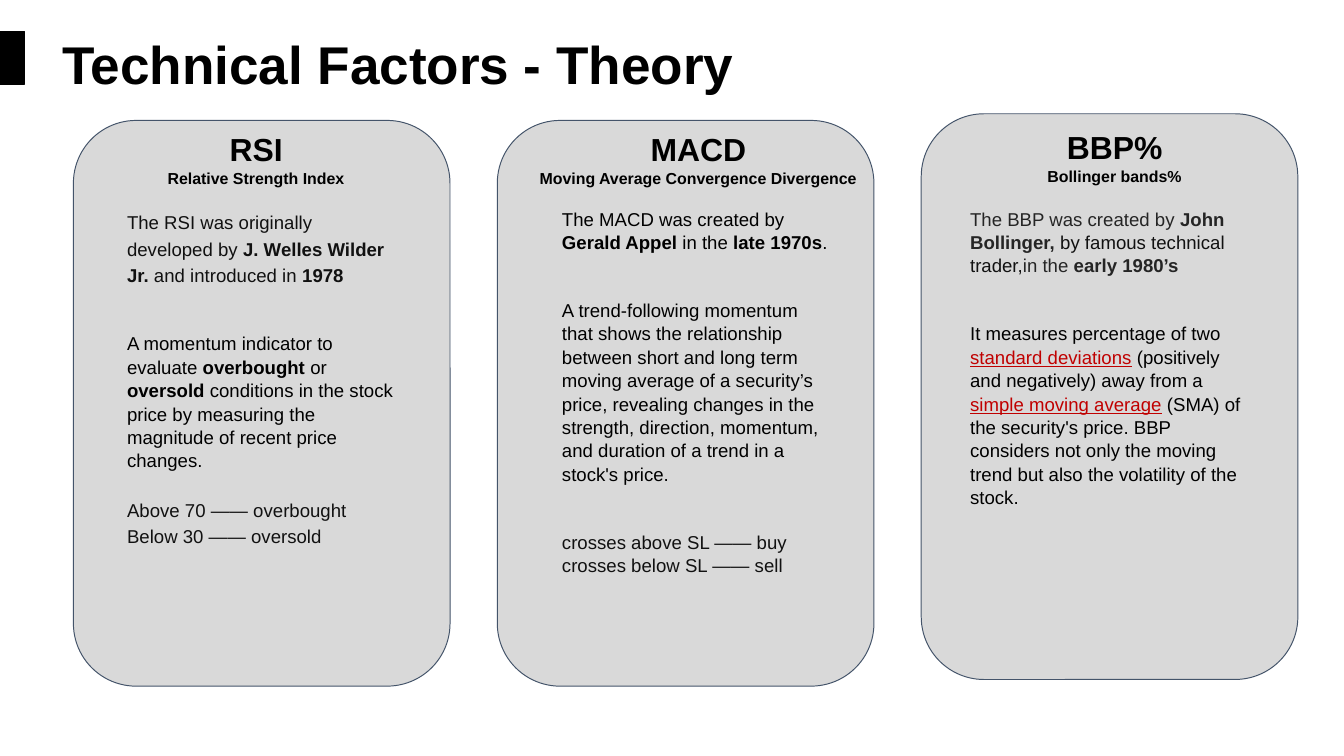
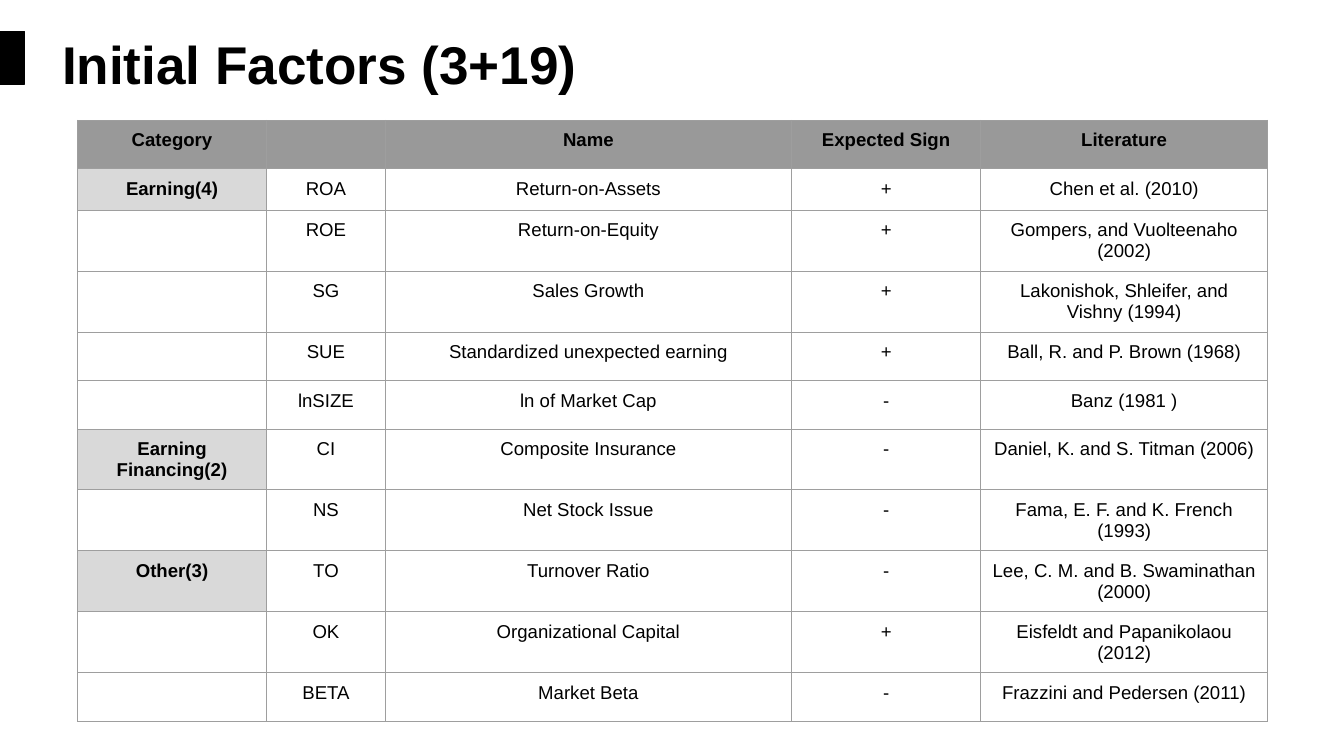
"""Build two slides on technical and initial stock factors."""
from dataclasses import dataclass
from typing import NamedTuple

from lxml.etree import SubElement
from pptx import Presentation
from pptx.dml.color import RGBColor
from pptx.enum.shapes import MSO_SHAPE as Preset
from pptx.enum.text import MSO_ANCHOR as Anchor, MSO_AUTO_SIZE as AutoSize, PP_ALIGN as Align
from pptx.oxml.ns import qn
from pptx.util import Pt

FONT = "Arial"
BLACK = RGBColor(0x00, 0x00, 0x00)
INK = RGBColor(0x11, 0x11, 0x11)
CHARCOAL = RGBColor(0x25, 0x25, 0x25)
RED = RGBColor(0xC0, 0x00, 0x00)
SLATE = RGBColor(0x44, 0x54, 0x6A)
LIGHT_GREY = RGBColor(0xD9, 0xD9, 0xD9)
HEADER_GREY = RGBColor(0x99, 0x99, 0x99)
BORDER_GREY = RGBColor(0x9E, 0x9E, 0x9E)

INSET = 7.2
BODY_SIZE = 14
TIGHT, LOOSE = 1.05, 1.2
SMALL_GAP, LARGE_GAP = 16.8, 33.6
CARD_LEFT, CARD_PITCH, CARD_WIDTH, CARD_HEIGHT = 55.3, 319.3, 283.7, 426.2
BODY_TOP = 148.3
COLUMN_WIDTHS = (142.6, 89.3, 306, 142.6, 216)
HEADER_HEIGHT, PLAIN_HEIGHT, TWO_LINE_HEIGHT = 34.5, 31.5, 45.8


class Box(NamedTuple):
    """Left, top, width and height in points."""
    left: float
    top: float
    width: float
    height: float

    def lengths(self) -> list[Pt]:
        """Return the four values as lengths."""
        return [Pt(value) for value in self]


class Span(NamedTuple):
    """A stretch of text in one format."""
    text: str
    color: RGBColor = BLACK
    bold: bool = False
    underline: bool = False


@dataclass(frozen=True)
class Passage:
    """One paragraph of a factor's description."""
    spans: tuple[Span, ...]
    before: float = 0
    spacing: float = TIGHT


@dataclass(frozen=True)
class Factor:
    """A technical factor shown on one card."""
    short: str
    full: str
    card_top: float
    heading: Box
    body: Box
    passages: tuple[Passage, ...]


class FactorRow(NamedTuple):
    """One row of the factor table."""
    category: str
    symbol: str
    name: str
    sign: str
    literature: str
    height: float


FACTORS = (
    Factor("RSI", "Relative Strength Index", 90.7,
           Box(97.2, 90.7, 191.5, 46.8), Box(88.6, BODY_TOP, 218.9, 334.1), (
        Passage((Span("The RSI was originally developed by ", INK),
                 Span("J. Welles Wilder Jr. ", INK, bold=True),
                 Span("and introduced in ", INK),
                 Span("1978", INK, bold=True)), spacing=LOOSE),
        Passage((Span("A momentum indicator to evaluate "),
                 Span("overbought", bold=True), Span(" or "),
                 Span("oversold", bold=True),
                 Span(" conditions in the stock price by measuring the "
                      "magnitude of recent price changes.")), LARGE_GAP),
        Passage((Span("Above 70 —— overbought", INK),), SMALL_GAP, LOOSE),
        Passage((Span("Below 30 —— oversold", INK),), spacing=LOOSE),
    )),
    Factor("MACD", "Moving Average Convergence Divergence", 90.7,
           Box(387.4, 90.7, 277.2, 46.8), Box(416.2, BODY_TOP, 218.9, 297.4), (
        Passage((Span("The MACD was created by "),
                 Span("Gerald Appel", bold=True), Span(" in the"),
                 Span(" late 1970s", bold=True), Span("."))),
        Passage((Span("A trend-following momentum that shows the relationship "
                      "between short and long term moving average of a "
                      "security’s price, revealing changes in the strength, "
                      "direction, momentum, and duration of a trend in a "
                      "stock's price."),), LARGE_GAP),
        Passage((Span("crosses above SL —— buy", INK),), LARGE_GAP),
        Passage((Span("crosses below SL —— sell", INK),)),
    )),
    Factor("BBP%", "Bollinger bands%", 85.7,
           Box(743.8, 89.3, 191.5, 49), Box(723.6, BODY_TOP, 224.6, 297.4), (
        Passage((Span("The BBP was created by ", CHARCOAL),
                 Span("John Bollinger, ", CHARCOAL, bold=True),
                 Span("by famous technical trader,", INK),
                 Span("in the ", CHARCOAL),
                 Span("early 1980’s", CHARCOAL, bold=True))),
        Passage((Span("It measures percentage of two"),
                 Span(" standard deviations", RED, underline=True),
                 Span(" (positively and negatively) away from a "),
                 Span("simple moving average", RED, underline=True),
                 Span(" (SMA) of the security's price. BBP considers not only "
                      "the moving trend but also the volatility of the stock.")),
                LARGE_GAP),
    )),
)

HEADER = FactorRow("Category", "", "Name", "Expected Sign", "Literature", HEADER_HEIGHT)
FACTOR_ROWS = (
    FactorRow("Earning(4)", "ROA", "Return-on-Assets", "+", "Chen et al. (2010)", PLAIN_HEIGHT),
    FactorRow("", "ROE", "Return-on-Equity", "+", "Gompers, and Vuolteenaho (2002)",
              TWO_LINE_HEIGHT),
    FactorRow("", "SG", "Sales Growth", "+", "Lakonishok, Shleifer, and Vishny (1994)",
              TWO_LINE_HEIGHT),
    FactorRow("", "SUE", "Standardized unexpected earning", "+",
              "Ball, R. and P. Brown (1968)", HEADER_HEIGHT),
    FactorRow("", "lnSIZE", "ln of Market Cap", "-", "Banz (1981 )", HEADER_HEIGHT),
    FactorRow("Earning Financing(2)", "CI", "Composite Insurance", "-",
              "Daniel, K. and S. Titman (2006)", TWO_LINE_HEIGHT),
    FactorRow("", "NS", "Net Stock Issue", "-", "Fama, E. F. and K. French (1993)",
              TWO_LINE_HEIGHT),
    FactorRow("Other(3)", "TO", "Turnover Ratio", "-",
              "Lee, C. M. and B. Swaminathan (2000)", TWO_LINE_HEIGHT),
    FactorRow("", "OK", "Organizational Capital", "+", "Eisfeldt and Papanikolaou (2012)",
              TWO_LINE_HEIGHT),
    FactorRow("", "BETA", "Market Beta", "-", "Frazzini and Pedersen (2011)", HEADER_HEIGHT),
)


def write(paragraph, text: str, *, size: float = BODY_SIZE, bold: bool = False,
          color: RGBColor = BLACK, underline: bool = False) -> None:
    """Append formatted text to a paragraph."""
    run = paragraph.add_run()
    run.text = text
    font = run.font
    font.name, font.size, font.bold = FONT, Pt(size), bold
    font.underline = underline
    font.color.rgb = color


def set_insets(target) -> None:
    """Give a text frame or table cell equal margins."""
    target.margin_left = target.margin_right = Pt(INSET)
    target.margin_top = target.margin_bottom = Pt(INSET)


def prepare_frame(frame) -> None:
    """Set the wrapping, margins and anchor of a text frame."""
    frame.word_wrap = True
    frame.auto_size = AutoSize.NONE
    frame.vertical_anchor = Anchor.TOP
    set_insets(frame)


def add_text_frame(slide, box: Box):
    """Add a text box and return its frame."""
    frame = slide.shapes.add_textbox(*box.lengths()).text_frame
    prepare_frame(frame)
    return frame


def add_panel(slide, preset: Preset, box: Box, fill: RGBColor, line: RGBColor,
              line_width: float) -> None:
    """Add a filled and outlined shape."""
    panel = slide.shapes.add_shape(preset, *box.lengths())
    panel.shadow.inherit = False
    panel.fill.solid()
    panel.fill.fore_color.rgb = fill
    panel.line.color.rgb = line
    panel.line.width = Pt(line_width)


def add_titled_slide(deck, heading: str, title_width: float):
    """Add a slide with the black marker and a title."""
    slide = deck.slides.add_slide(deck.slide_layouts[5])
    add_panel(slide, Preset.RECTANGLE, Box(0, 23.75, 18.7, 39.6), BLACK, BLACK, 1)
    title = slide.shapes.title
    title.left, title.top, title.width, title.height = Box(
        39.6, 16.6, title_width, 49).lengths()
    prepare_frame(title.text_frame)
    paragraph = title.text_frame.paragraphs[0]
    paragraph.alignment = Align.LEFT
    write(paragraph, heading, size=40, bold=True)
    return slide


def add_factor_card(slide, factor: Factor, left: float) -> None:
    """Draw the card, heading and description of a factor."""
    add_panel(slide, Preset.ROUNDED_RECTANGLE,
              Box(left, factor.card_top, CARD_WIDTH, CARD_HEIGHT), LIGHT_GREY, SLATE, 0.75)
    heading = add_text_frame(slide, factor.heading)
    lines = (heading.paragraphs[0], heading.add_paragraph())
    for paragraph, text, size in zip(lines, (factor.short, factor.full), (24, 12)):
        paragraph.alignment = Align.CENTER
        write(paragraph, text, size=size, bold=True)
    body = add_text_frame(slide, factor.body)
    for index, passage in enumerate(factor.passages):
        paragraph = body.add_paragraph() if index else body.paragraphs[0]
        paragraph.space_before = Pt(passage.before)
        paragraph.line_spacing = passage.spacing
        for span in passage.spans:
            write(paragraph, span.text, bold=span.bold, color=span.color,
                  underline=span.underline)


def add_borders(cell) -> None:
    """Outline a table cell on all four sides."""
    properties = cell._tc.get_or_add_tcPr()
    for side in ("a:lnL", "a:lnR", "a:lnT", "a:lnB"):
        edge = SubElement(properties, qn(side), w=str(Pt(0.75)))
        fill = SubElement(edge, qn("a:solidFill"))
        SubElement(fill, qn("a:srgbClr"), val=str(BORDER_GREY))


def fill_cell(cell, text: str, *, bold: bool, fill: RGBColor | None) -> None:
    """Format a table cell and write its text."""
    add_borders(cell)
    set_insets(cell)
    if fill is None:
        cell.fill.background()
    else:
        cell.fill.solid()
        cell.fill.fore_color.rgb = fill
    if text:
        paragraph = cell.text_frame.paragraphs[0]
        paragraph.alignment = Align.CENTER
        write(paragraph, text, bold=bold)


def add_factor_table(slide) -> None:
    """Draw the table of initial factors."""
    rows = (HEADER, *FACTOR_ROWS)
    box = Box(58.3, 90.7, sum(COLUMN_WIDTHS), sum(row.height for row in rows))
    table = slide.shapes.add_table(len(rows), len(COLUMN_WIDTHS), *box.lengths()).table
    table.first_row = table.horz_banding = False
    for column, width in zip(table.columns, COLUMN_WIDTHS):
        column.width = Pt(width)
    for row_index, row in enumerate(rows):
        table.rows[row_index].height = Pt(row.height)
        for column_index, text in enumerate(row[:-1]):
            is_header = row is HEADER
            is_category = column_index == 0 and bool(text)
            fill = HEADER_GREY if is_header else LIGHT_GREY if is_category else None
            fill_cell(table.cell(row_index, column_index), text,
                      bold=is_header or is_category, fill=fill)


def main() -> None:
    """Build and save the presentation."""
    deck = Presentation()
    deck.slide_width, deck.slide_height = Pt(1012.3), Pt(569.5)
    theory = add_titled_slide(deck, "Technical Factors - Theory", 570.2)
    for index, factor in enumerate(FACTORS):
        add_factor_card(theory, factor, CARD_LEFT + index * CARD_PITCH)
    add_factor_table(add_titled_slide(deck, "Initial Factors (3+19)", 515.5))
    deck.save("out.pptx")


if __name__ == "__main__":
    main()
